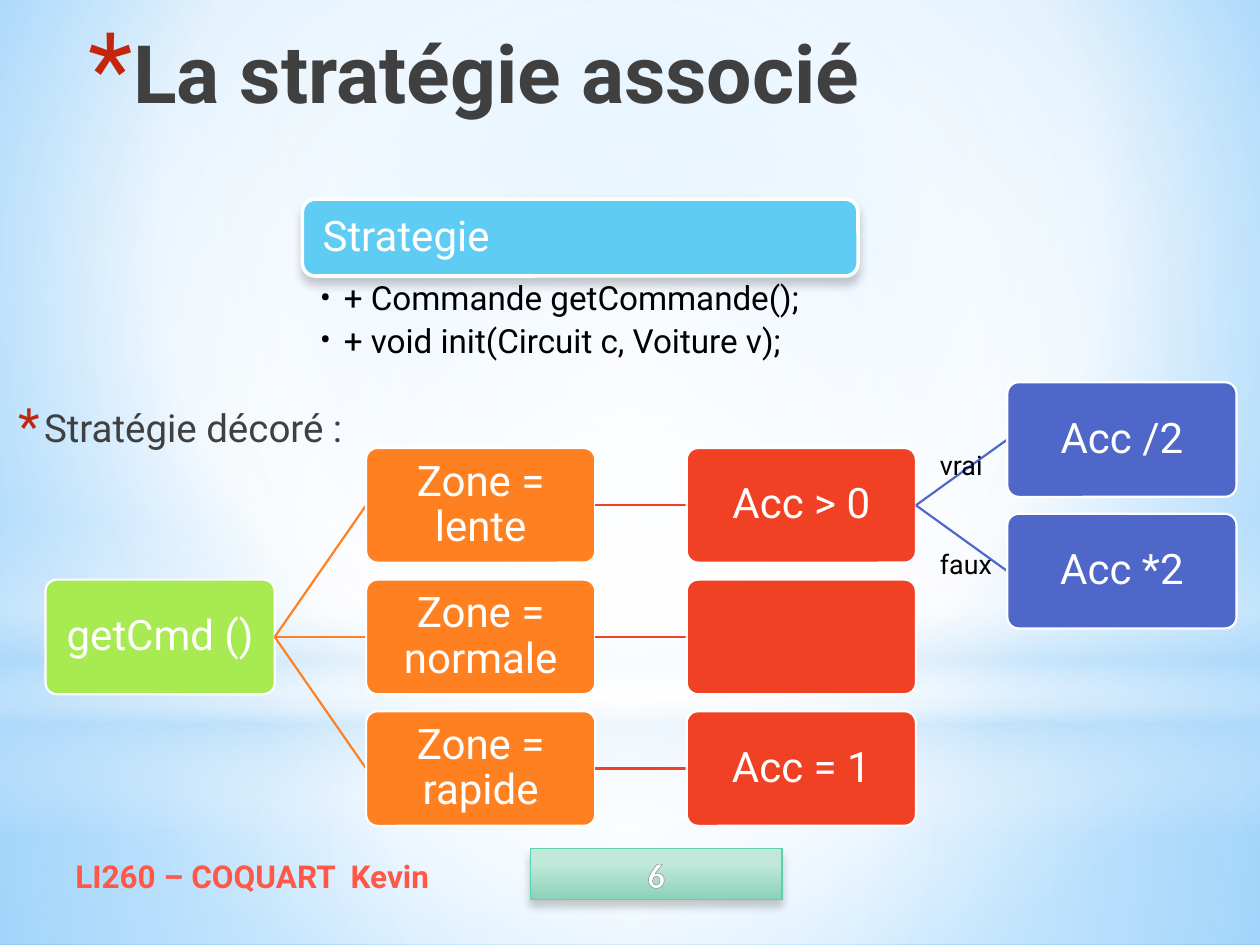
from lxml import etree
from pptx import Presentation
from pptx.dml.color import RGBColor
from pptx.enum import shapes as es, text as et
from pptx.oxml import ns
from pptx.util import Pt

W, H = 720, 540
WHITE, BLACK, DARK, RED = "FFFFFF", "000000", "404040", "C3260C"
SKY = "B4DCFA"
CENTER, LEFT, RIGHT = et.PP_ALIGN.CENTER, et.PP_ALIGN.LEFT, et.PP_ALIGN.RIGHT
TOP, MIDDLE = et.MSO_ANCHOR.TOP, et.MSO_ANCHOR.MIDDLE
RECT, ROUND, OVAL = (es.MSO_SHAPE.RECTANGLE, es.MSO_SHAPE.ROUNDED_RECTANGLE,
                     es.MSO_SHAPE.OVAL)

# Gradients: stops of (position, colour, opacity), then centre rectangle or None
BACKDROP = [(0, "9ED5FF", 100), (60, WHITE, 100), (100, "5BB9FF", 100)], (20, 10, 20, 60)
MIDPOINT = (50, 50, 50, 50)
GLOWS = [
    (RECT, (0, 402, W, 138),
     [(0, WHITE, 91), (37, WHITE, 76), (100, SKY, 79)], MIDPOINT),
    (RECT, (0, 0, W, 402),
     [(0, WHITE, 89), (48, WHITE, 62), (100, SKY, 79)], MIDPOINT),
    (RECT, (0, 296.5, W, 180),
     [(0, WHITE, 0), (29, WHITE, 30), (45, SKY, 40), (55, WHITE, 26),
      (65, SKY, 60), (100, WHITE, 0)], None),
    (OVAL, (0, 126, W, 402), [(0, WHITE, 100), (56, WHITE, 0)], MIDPOINT),
]
BADGE = [(28, "C0E9DA", 100), (100, "8CD1B8", 100)], None

METHODS = ["+ Commande getCommande();", "+ void init(Circuit c, Voiture v);"]
LEVEL_COLORS = ["A7EA52", "FF8021", "F14124", "4E67C8"]
# Decision tree: key -> (label, level, row, parent)
TREE = {
    "root": ("getCmd ()", 0, 0, None),
    "slow": ("Zone = lente", 1, -1, "root"),
    "normal": ("Zone = normale", 1, 0, "root"),
    "fast": ("Zone = rapide", 1, 1, "root"),
    "test": ("Acc > 0", 2, -1, "slow"),
    "keep": ("", 2, 0, "normal"),
    "full": ("Acc = 1", 2, 1, "fast"),
    "half": ("Acc /2", 3, -1.5, "test"),
    "double": ("Acc *2", 3, -0.5, "test"),
}
BRANCHES = [("vrai", 252.7), ("faux", 309.6)]
NODE_W, NODE_H, STEP_X, STEP_Y = 131, 65.5, 183.2, 75.2
ROOT_X, ROOT_Y = 26, 331.2


def rgb(value):
    """Turn a hex string into a colour."""
    return RGBColor.from_string(value)


def xml(body, prefix="a"):
    """Parse one DrawingML or PresentationML element."""
    return etree.fromstring(body.replace(">", f" {ns.nsdecls('a', 'p')}>", 1)
                            if "/>" not in body.split(">")[0] + ">"
                            else body.replace("/>", f" {ns.nsdecls('a', 'p')}/>", 1))


def gradient(stops, center):
    """Give the XML text of a radial or top-down gradient."""
    marks = "".join(
        f'<a:gs pos="{pos * 1000}"><a:srgbClr val="{color}">'
        f'<a:alpha val="{opacity * 1000}"/></a:srgbClr></a:gs>'
        for pos, color, opacity in stops)
    if center:
        sides = " ".join(f'{side}="{n * 1000}"' for side, n in zip("ltrb", center))
        way = f'<a:path path="circle"><a:fillToRect {sides}/></a:path>'
    else:
        way = '<a:lin ang="5400000" scaled="0"/>'
    return f'<a:gradFill rotWithShape="1"><a:gsLst>{marks}</a:gsLst>{way}</a:gradFill>'


def add_box(kind, at, fill, line=None, width=1.25, shadow=False):
    """Add a shape with a plain or gradient fill."""
    box = slide.shapes.add_shape(kind, *map(Pt, at))
    box.shadow.inherit = False
    if isinstance(fill, str):
        box.fill.solid()
        box.fill.fore_color.rgb = rgb(fill)
    else:
        box._element.spPr.find(ns.qn("a:prstGeom")).addnext(xml(gradient(*fill)))
    if line:
        box.line.color.rgb = rgb(line)
        box.line.width = Pt(width)
    else:
        box.line.fill.background()
    if shadow:
        box._element.spPr.find(ns.qn("a:effectLst")).append(xml(
            '<a:outerShdw blurRad="63500" dist="50800" dir="5400000" rotWithShape="0">'
            '<a:srgbClr val="000000"><a:alpha val="20000"/></a:srgbClr></a:outerShdw>'))
    return box


def write(shape, lines, size, color, align=LEFT, anchor=TOP, insets=(7.2, 3.6, 7.2, 3.6),
          bold=False, font="Roboto", bullet=None, **spacing):
    """Fill a shape with paragraphs; bullet is (char, colour, percent, margin, indent)."""
    frame = shape.text_frame
    frame.text = "\n".join(lines)
    sides = ("margin_left", "margin_top", "margin_right", "margin_bottom")
    layout = {"word_wrap": True, "auto_size": et.MSO_AUTO_SIZE.NONE,
              "vertical_anchor": anchor, **dict(zip(sides, map(Pt, insets)))}
    for name, value in layout.items():
        setattr(frame, name, value)
    for paragraph in frame.paragraphs:
        for name, value in {"alignment": align, "space_before": Pt(0), **spacing}.items():
            setattr(paragraph, name, value)
        for run in paragraph.runs:
            for name, value in {"size": Pt(size), "bold": bold, "name": font}.items():
                setattr(run.font, name, value)
            run.font.color.rgb = rgb(color)
        if bullet:
            char, tint, percent, margin, indent = bullet
            props = paragraph._p.get_or_add_pPr()
            props.set("marL", str(Pt(margin)))
            props.set("indent", str(Pt(indent)))
            for part in (f'<a:buClr><a:srgbClr val="{tint}"/></a:buClr>',
                         f'<a:buSzPct val="{percent * 1000}"/>',
                         '<a:buFont typeface="Roboto"/>', f'<a:buChar char="{char}"/>'):
                props.append(xml(part))


def add_text(at, lines, size, color, **options):
    """Add a text box."""
    write(slide.shapes.add_textbox(*map(Pt, at)), lines, size, color, **options)


def place(shape, at):
    """Move and size a shape."""
    for name, value in zip(("left", "top", "width", "height"), at):
        setattr(shape, name, Pt(value))


def node_at(key):
    """Compute the left and top of a tree node."""
    _, level, row, _ = TREE[key]
    return ROOT_X + level * STEP_X, ROOT_Y + row * STEP_Y


def link(parent, child, color):
    """Join the right side of one node to the left side of another."""
    (x1, y1), (x2, y2) = node_at(parent), node_at(child)
    ends = (x1 + NODE_W, y1 + NODE_H / 2, x2, y2 + NODE_H / 2)
    edge = slide.shapes.add_connector(es.MSO_CONNECTOR.STRAIGHT, *map(Pt, ends))
    edge.line.color.rgb = rgb(color)
    edge.line.width = Pt(1.25)
    edge._element.spPr.append(xml("<a:effectLst/>"))


prs = Presentation()
prs.slide_width, prs.slide_height = Pt(W), Pt(H)
slide = prs.slides.add_slide(prs.slide_layouts[1])
slide._element.cSld.insert(0, xml(
    f"<p:bg><p:bgPr>{gradient(*BACKDROP)}<a:effectLst/></p:bgPr></p:bg>"))

title, body = slide.placeholders
for kind, at, stops, center in GLOWS:
    glow = add_box(kind, at, (stops, center))
    title._element.addprevious(glow._element)

place(title, (-14.4, 9.4, 512.6, 90))
write(title, ["La stratégie associé"], 46, DARK, align=RIGHT, bold=True,
      bullet=("*", RED, 128, 25.2, -25.2))
place(body, (0, 227.5, 232.6, 51))
write(body, ["Stratégie décoré :"], 22, DARK, space_after=Pt(3),
      bullet=("*", RED, 130, 18, -14.4))

header = add_box(ROUND, (172.8, 113.8, 317.5, 43.9), "5ECCF3", WHITE, 2, shadow=True)
write(header, ["Strategie"], 24, WHITE, anchor=MIDDLE, insets=(9.4,) * 4, line_spacing=0.9)
add_text((172.8, 159.1, 317.5, 49.7), METHODS, 19, BLACK, insets=(10, 2, 13.7, 2),
         line_spacing=0.9, space_after=Pt(3.8), bullet=("•", BLACK, 100, 13.7, -13.7))

for key, (label, level, row, parent) in TREE.items():
    color = LEVEL_COLORS[level]
    if parent:
        link(parent, key, color)
    node = add_box(ROUND, (*node_at(key), NODE_W, NODE_H), color, WHITE)
    node.adjustments[0] = 0.1
    if label:
        write(node, [label], 24, WHITE, align=CENTER, anchor=MIDDLE, insets=(3.4,) * 4,
              line_spacing=0.9)
for answer, top in BRANCHES:
    add_text((530, top, 45.4, 22.3), [answer], 15.3, BLACK)

add_text((36, 486, 264, 28.8), ["LI260 – COQUART  Kevin"], 18, "FF5748",
         anchor=MIDDLE, bold=True)
page = add_box(RECT, (303, 485, 144, 29), BADGE, "5DCEAF", 0.75, shadow=True)
write(page, ["6"], 20, WHITE, align=CENTER, anchor=MIDDLE, bold=True, font="Calibri")
page.text_frame.paragraphs[0].runs[0].font._element.insert(0, xml(
    '<a:ln w="10541"><a:solidFill><a:srgbClr val="7D7D7D"/></a:solidFill></a:ln>'))

prs.save("out.pptx")
